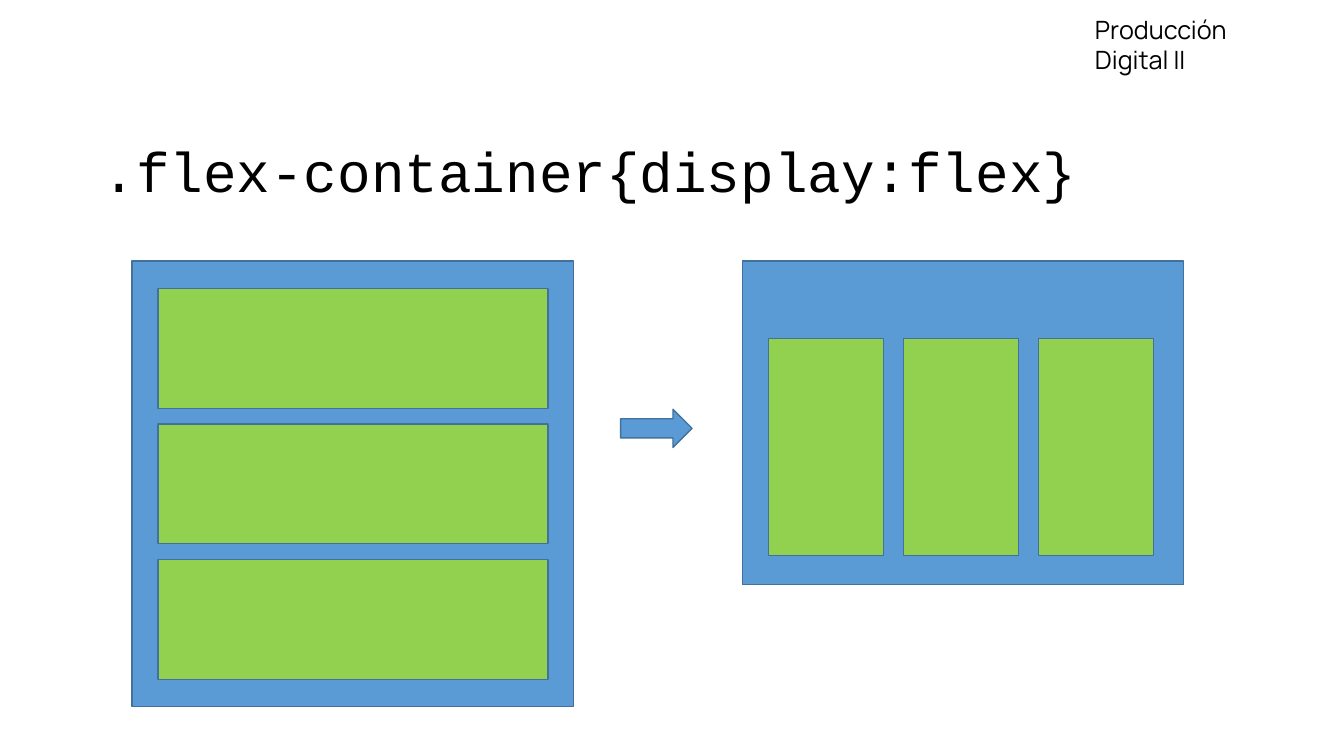
from dataclasses import dataclass

from pptx import Presentation
from pptx.dml.color import RGBColor as Rgb
from pptx.enum.shapes import MSO_SHAPE as Kind
from pptx.enum.text import MSO_ANCHOR as Anchor
from pptx.util import Inches, Pt


@dataclass(frozen=True)
class Theme:
    blue: Rgb = Rgb(0x5B, 0x9B, 0xD5)
    green: Rgb = Rgb(0x92, 0xD0, 0x50)
    edge: Rgb = Rgb(0x41, 0x71, 0x9C)
    ink: Rgb = Rgb(0, 0, 0)
    line: float = 1
    code: tuple = ("Courier New", 40)
    label: tuple = ("Manrope", 18)


def apply(target, values):
    for name, value in values.items():
        setattr(target, name, value)


class Board:
    """Draws on one slide in one theme; boxes are (left, top, width, height) in inches."""

    def __init__(self, slide, theme):
        self.slide = slide
        self.theme = theme

    def shape(self, box, color, kind=Kind.RECTANGLE):
        item = self.slide.shapes.add_shape(kind, *map(Inches, box))
        item.shadow.inherit = False
        item.fill.solid()
        item.fill.fore_color.rgb = color
        item.line.color.rgb = self.theme.edge
        item.line.width = Pt(self.theme.line)

    def text(self, box, words, style, anchor=Anchor.TOP, space=1.0):
        frame = self.slide.shapes.add_textbox(*map(Inches, box)).text_frame
        apply(frame, {"word_wrap": True, "vertical_anchor": anchor})
        para = frame.paragraphs[0]
        para.line_spacing = space
        run = para.add_run()
        run.text = words
        face, size = style
        apply(run.font, {"name": face, "size": Pt(size)})
        run.font.color.rgb = self.theme.ink

    def items(self, box, step, count=3):
        """Repeat a green flex item, moved by step (across, down) each time."""
        left, top, width, height = box
        across, down = step
        for i in range(count):
            spot = (left + i * across, top + i * down, width, height)
            self.shape(spot, self.theme.green)


def main():
    deck = Presentation()
    apply(deck, {"slide_width": Inches(13.34), "slide_height": Inches(7.5)})
    theme = Theme()
    board = Board(deck.slides.add_slide(deck.slide_layouts[6]), theme)

    board.text((0.92, 1, 11.5, 1.45), ".flex-container{display:flex}",
               theme.code, Anchor.MIDDLE, 0.9)
    board.text((10.77, 0.09, 1.81, 0.7), "Producción Digital II", theme.label)

    board.shape((1.31, 2.59, 4.38, 4.42), theme.blue)
    board.items((1.57, 2.86, 3.87, 1.19), (0, 1.345))

    board.shape((6.16, 4.06, 0.71, 0.38), theme.blue, Kind.RIGHT_ARROW)

    board.shape((7.37, 2.59, 4.38, 3.21), theme.blue)
    board.items((7.63, 3.36, 1.14, 2.15), (1.34, 0))

    deck.save("out.pptx")


if __name__ == "__main__":
    main()
